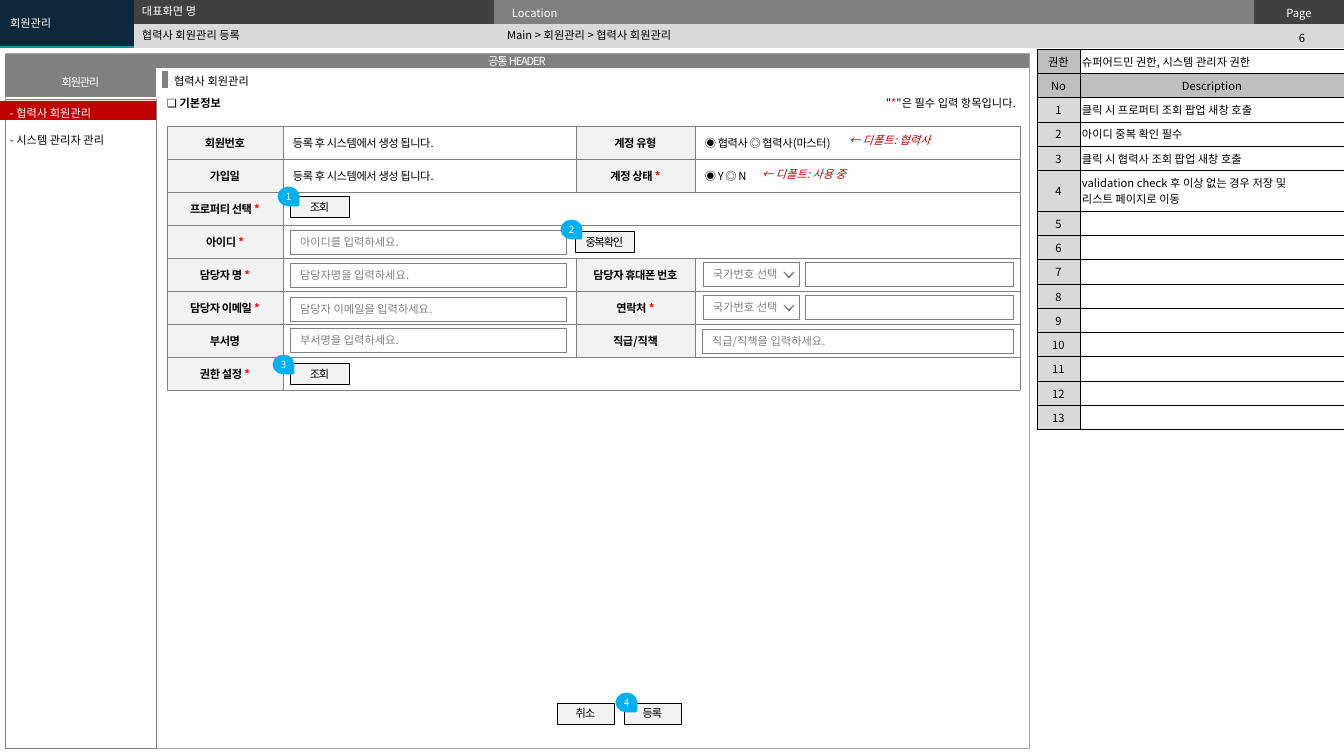
import pptx
import pptx.dml.color
import pptx.enum.shapes
import pptx.enum.text
import pptx.oxml.ns
import pptx.util

RGB = pptx.dml.color.RGBColor
WHITE, BLACK = RGB(255, 255, 255), RGB(0, 0, 0)
NAVY, TEAL, SKY = RGB(0x0E, 0x27, 0x3B), RGB(0, 0x9C, 0xA6), RGB(0, 0xB0, 0xF0)
CHARCOAL, DIM, GRAY = RGB(0x40, 0x40, 0x40), RGB(0x5F, 0x5F, 0x5F), RGB(0x80, 0x80, 0x80)
FRAME, SILVER = RGB(0xA6, 0xA6, 0xA6), RGB(0xBF, 0xBF, 0xBF)
LIGHT, PALE = RGB(0xD9, 0xD9, 0xD9), RGB(0xF2, 0xF2, 0xF2)
RED, CRIMSON = RGB(255, 0, 0), RGB(0xC0, 0, 0)

ALIGN = pptx.enum.text.PP_ALIGN
ANCHOR = pptx.enum.text.MSO_ANCHOR
SHAPE = pptx.enum.shapes.MSO_SHAPE
NO_GRID = "{2D5ABB26-0587-4C30-8999-92F81FD0307C}"
FONT = "Noto Sans CJK KR"
PX = 914400 / 100.8


def emu(*lengths):
    return [round(length * PX) for length in lengths]


def sub(parent, tag, **attributes):
    child = parent.makeelement(pptx.oxml.ns.qn(tag), attributes)
    parent.append(child)
    return child


class Screen:
    def __init__(self, slide):
        self.slide = slide
        self.shapes = slide.shapes

    def add_runs(self, paragraph, text, color=BLACK, size=8, bold=False, italic=False,
                 spacing=0, align=ALIGN.LEFT):
        """Add the runs of a paragraph; the required mark * is always red."""
        paragraph.alignment = align
        before, star, after = text.partition("*")
        for part, tint in ((before, color), (star, RED), (after, color)):
            if not part:
                continue
            run = paragraph.add_run()
            run.text = part
            font = run.font
            font.name, font.size, font.bold, font.italic = FONT, pptx.util.Pt(size), bold, italic
            font.color.rgb = tint
            properties = run._r.get_or_add_rPr()
            properties.set("spc", str(spacing))
            sub(properties, "a:ea", typeface=FONT)

    def fill_frame(self, frame, text, anchor=ANCHOR.MIDDLE, margins=(10, 5), **style):
        frame.word_wrap = True
        frame.auto_size = pptx.enum.text.MSO_AUTO_SIZE.NONE
        frame.vertical_anchor = anchor
        frame.margin_left = frame.margin_right = emu(margins[0])[0]
        frame.margin_top = frame.margin_bottom = emu(margins[1])[0]
        self.add_runs(frame.paragraphs[0], text, **style)

    def placeholder(self, index, box, text, fill=None, **style):
        holder = self.slide.placeholders[index]
        holder.left, holder.top, holder.width, holder.height = emu(*box)
        if fill is not None:
            holder.fill.solid()
            holder.fill.fore_color.rgb = fill
        paragraph = holder.text_frame.paragraphs[0]
        properties = paragraph._p.get_or_add_pPr()
        properties.set("marL", "0")
        properties.set("indent", "0")
        sub(properties, "a:buNone")
        paragraph.space_before = pptx.util.Pt(0)
        self.fill_frame(holder.text_frame, text, **style)

    def label(self, box, text, anchor=ANCHOR.TOP, **style):
        frame = self.shapes.add_textbox(*emu(*box)).text_frame
        self.fill_frame(frame, text, anchor, **style)

    def paint(self, shape, fill, line, weight=0.25):
        shape.shadow.inherit = False
        if fill is None:
            shape.fill.background()
        else:
            shape.fill.solid()
            shape.fill.fore_color.rgb = fill
        if line is None:
            shape.line.fill.background()
        else:
            shape.line.color.rgb = line
            shape.line.width = pptx.util.Pt(weight)

    def rect(self, box, fill=None, line=None, text="", **style):
        shape = self.shapes.add_shape(SHAPE.RECTANGLE, *emu(*box))
        self.paint(shape, fill, line)
        if text:
            self.fill_frame(shape.text_frame, text, **style)

    def bar(self, box, text):
        self.rect(box, GRAY, None, text, color=WHITE, spacing=-90,
                  align=ALIGN.CENTER, margins=(4, 5))

    def button(self, box, text):
        self.rect(box, PALE, BLACK, text, spacing=-90, align=ALIGN.CENTER, margins=(0, 0))

    def field(self, box, hint=""):
        self.rect(box, WHITE, GRAY, hint, color=GRAY)

    def phone(self, top):
        self.field((703, top, 96, 24), "국가번호 선택")
        self.field((805, top, 208, 24))
        y = top + 10
        outline = self.shapes.build_freeform(794, y, PX)
        outline.add_line_segments([(789, y + 5), (784, y), (789, y + 6)], close=True)
        self.paint(outline.convert_to_shape(), DIM, GRAY, 0.75)

    def marker(self, left, top, number):
        drop = self.shapes.add_shape(SHAPE.TEAR, *emu(left, top, 17, 19))
        drop.rotation = 90
        self.paint(drop, SKY, SKY, 2)
        self.fill_frame(drop.text_frame, number, margins=(0, 0), color=WHITE, size=7,
                        align=ALIGN.CENTER)
        drop.text_frame._txBody.bodyPr.set("vert", "vert270")

    def line(self, start, end, color, weight):
        connector = self.shapes.add_connector(
            pptx.enum.shapes.MSO_CONNECTOR.STRAIGHT, *emu(*start, *end))
        connector.line.color.rgb = color
        connector.line.width = pptx.util.Pt(weight)
        sub(connector._element.spPr, "a:effectLst")

    def table(self, left, top, columns, rows):
        frame = self.shapes.add_table(len(rows), len(columns),
                                      *emu(left, top, sum(columns), sum(rows)))
        grid = frame.table
        grid.first_row = grid.horz_banding = False
        grid._tbl.tblPr.find(pptx.oxml.ns.qn("a:tableStyleId")).text = NO_GRID
        for column, width in zip(grid.columns, emu(*columns)):
            column.width = width
        for row, height in zip(grid.rows, emu(*rows)):
            row.height = height
        return frame

    def cell(self, cell, text="", fill=WHITE, border=None, weight=0.25, margins=(10, 5), **style):
        cell.margin_left = cell.margin_right = emu(margins[0])[0]
        cell.margin_top = cell.margin_bottom = emu(margins[1])[0]
        cell.vertical_anchor = ANCHOR.MIDDLE
        if border is not None:
            for side in ("a:lnL", "a:lnR", "a:lnT", "a:lnB"):
                edge = sub(cell._tc.get_or_add_tcPr(), side, w=str(int(weight * 12700)))
                sub(sub(edge, "a:solidFill"), "a:srgbClr", val=str(border))
        cell.fill.solid()
        cell.fill.fore_color.rgb = fill
        for i, line in enumerate(text.split("\n")):
            paragraph = cell.text_frame.add_paragraph() if i else cell.text_frame.paragraphs[0]
            self.add_runs(paragraph, line, **style)
            paragraph._p.get_or_add_endParaRPr().set("sz", "800")


def main():
    deck = pptx.Presentation()
    deck.slide_width, deck.slide_height = emu(1344, 756)
    slide = deck.slides.add_slide(deck.slide_layouts[4])
    screen = Screen(slide)

    # Page header, behind the title and location
    header = screen.table(0, 0, [134, 360, 760, 90], [24, 24])
    slide.shapes._spTree.insert(2, header._element)
    for r, row in enumerate([[("", TEAL), ("", CHARCOAL), ("Location", GRAY), ("Page", CHARCOAL)],
                             [("", TEAL)] + [("", LIGHT)] * 3]):
        for c, (text, fill) in enumerate(row):
            screen.cell(header.table.cell(r, c), text, fill, margins=(18, 4), color=WHITE,
                        align=ALIGN.CENTER if c == 3 else ALIGN.LEFT)
    header.table.cell(0, 0).merge(header.table.cell(1, 0))
    screen.placeholder(0, (132, 24, 366, 22), "협력사 회원관리 등록")
    screen.placeholder(1, (497, 23, 744, 24), "Main > 회원관리 > 협력사 회원관리")
    screen.placeholder(3, (132, 0, 365, 22), "대표화면 명", color=WHITE)
    screen.placeholder(2, (0, 0, 134, 46), "회원관리", NAVY, color=WHITE)
    spare = slide.placeholders[4]._element
    spare.getparent().remove(spare)
    screen.label((1258, 26, 88, 24), "6", align=ALIGN.CENTER)

    # Screen frame and side menu
    screen.rect((5, 53, 1024, 695), line=FRAME)
    screen.rect((5, 99, 151, 649), line=GRAY)
    screen.bar((5, 54, 1024, 14), "공통 HEADER")
    screen.bar((5, 68, 151, 29), "회원관리")
    screen.rect((0, 101, 156, 19), CRIMSON)
    for top, item, color in ((101, "- 협력사 회원관리", WHITE), (128, "- 시스템 관리자 관리", BLACK)):
        screen.label((0, top, 145, 24), item, ANCHOR.MIDDLE, color=color)

    # Description table
    notes = ["클릭 시 프로퍼티 조회 팝업 새창 호출", "아이디 중복 확인 필수",
             "클릭 시 협력사 조회 팝업 새창 호출",
             "validation check 후 이상 없는 경우 저장 및\n리스트 페이지로 이동"] + [""] * 9
    entries = [("권한", "슈퍼어드민 권한, 시스템 관리자 권한"), ("No", "Description")]
    entries += [(str(n), note) for n, note in enumerate(notes, 1)]
    guide = screen.table(1037, 49, [43, 264],
                         [39 if "\n" in note else 24 for _, note in entries]).table
    look = dict(border=BLACK, weight=0.5, margins=(2, 4))
    for r, (key, note) in enumerate(entries):
        screen.cell(guide.cell(r, 0), key, SILVER if r < 2 else LIGHT,
                    align=ALIGN.CENTER, **look)
        screen.cell(guide.cell(r, 1), note, SILVER if r == 1 else WHITE,
                    align=ALIGN.CENTER if r == 1 else ALIGN.LEFT, **look)

    # Section headings
    screen.label((164, 69, 243, 24), "협력사 회원관리")
    screen.line((165, 71), (165, 88), GRAY, 4.5)
    screen.label((157, 91, 90, 24), "❏ 기본정보", bold=True)
    screen.label((857, 91, 169, 24), '"*"은 필수 입력 항목입니다.', align=ALIGN.RIGHT)

    # Member form
    created = "등록 후 시스템에서 생성 됩니다."
    members = [("회원번호", created, "계정 유형", "◉ 협력사 ◎ 협력사(마스터)"),
               ("가입일", created, "계정 상태 *", "◉ Y ◎ N"),
               ("프로퍼티 선택 *", "", "", ""), ("아이디 *", "", "", ""),
               ("담당자 명 *", "", "담당자 휴대폰 번호", ""),
               ("담당자 이메일 *", "", "연락처 *", ""),
               ("부서명", "", "직급/직책", ""), ("권한 설정 *", "", "", "")]
    form = screen.table(167, 126, [116, 293, 119, 325], [33] * len(members)).table
    for r, row in enumerate(members):
        for c, text in enumerate(row):
            heading = c == 0 or (c == 2 and text != "")
            screen.cell(form.cell(r, c), text, PALE if heading else WHITE, GRAY, bold=heading,
                        spacing=-30, align=ALIGN.CENTER if heading else ALIGN.LEFT)
        if not row[2]:
            form.cell(r, 1).merge(form.cell(r, 3))

    # Inputs, buttons and default hints
    for top, hint in ((230, "아이디를 입력하세요."), (263, "담당자명을 입력하세요."),
                      (297, "담당자 이메일을 입력하세요."), (328, "부서명을 입력하세요.")):
        screen.field((290, top, 276, 24), hint)
    screen.field((702, 329, 311, 24), "직급/직책을 입력하세요.")
    for top in (262, 295):
        screen.phone(top)
    for left, top, width, text in ((290, 196, 59, "조회"), (575, 231, 59, "중복확인"),
                                   (290, 363, 59, "조회"), (557, 703, 57, "취소"),
                                   (624, 703, 57, "등록")):
        screen.button((left, top, width, 21), text)
    screen.label((839, 128, 104, 24), "← 디폴트: 협력사", color=CRIMSON, italic=True)
    screen.label((752, 162, 108, 24), "← 디폴트: 사용 중", color=CRIMSON, italic=True)

    # Numbered markers
    for number, (left, top) in enumerate(((280, 187), (563, 220), (275, 355), (618, 693)), 1):
        screen.marker(left, top, str(number))

    deck.save("out.pptx")


if __name__ == "__main__":
    main()
